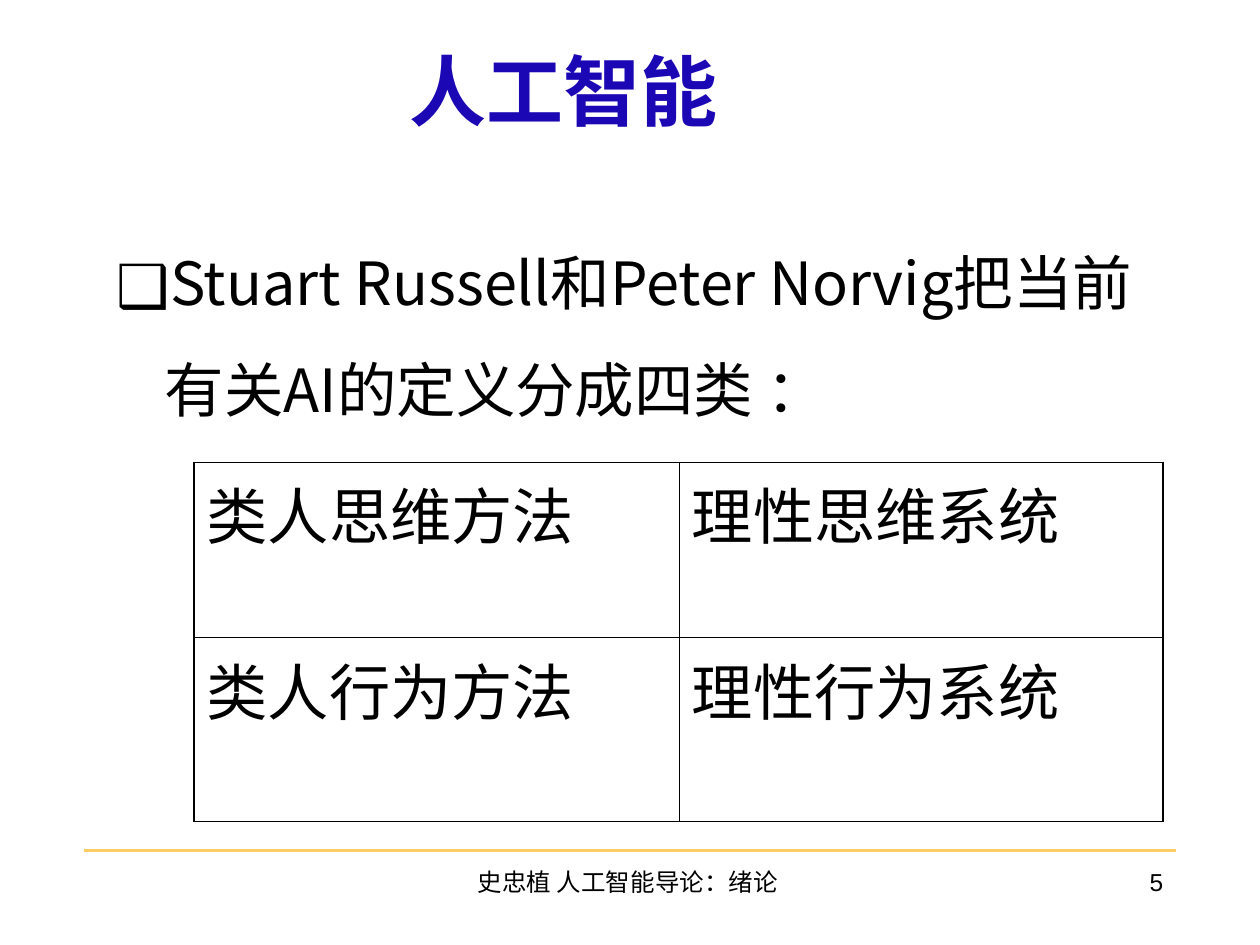
from dataclasses import dataclass

from lxml import etree
from pptx import Presentation
from pptx import util as u
from pptx.dml import color
from pptx.enum import shapes, text
from pptx.oxml import ns

HUES = {"ink": "000000", "title": "1C07B5", "rule": "FFCC66"}
HAN = "Noto Sans CJK SC"
THICK, THIN = 1.08, 0.45
GRID = (("类人思维方法", "理性思维系统"), ("类人行为方法", "理性行为系统"))
WIDTHS = (3.85, 3.84)
HEIGHTS = (1.39, 1.46)


@dataclass
class Label:
    words: str
    left: float
    top: float
    width: float
    height: float
    size: float
    font: str = HAN
    hue: str = "ink"
    bold: bool = False
    align: text.PP_ALIGN = text.PP_ALIGN.LEFT
    anchor: text.MSO_ANCHOR = text.MSO_ANCHOR.TOP


LABELS = (
    Label("史忠植 人工智能导论：绪论 ", 3.42, 6.83, 3.17, 0.5, 14, "Arial",
          align=text.PP_ALIGN.CENTER),
    Label("5", 7.25, 6.83, 2.08, 0.5, 14, "Arial", align=text.PP_ALIGN.RIGHT),
    Label("人工智能", 0.35, 0, 8.25, 1.42, 44, hue="title", bold=True,
          align=text.PP_ALIGN.CENTER, anchor=text.MSO_ANCHOR.MIDDLE),
)
CLAIM = Label("Stuart Russell和Peter Norvig把当前有关AI的定义分成四类 ：",
              0.83, 1.62, 8.5, 4.5, 34)


def rgb(hue: str) -> color.RGBColor:
    return color.RGBColor.from_string(HUES[hue])


def add(node, tag: str, **attrs: str):
    return etree.SubElement(node, ns.qn(tag), attrs)


def style(para, size: float, font: str = HAN, hue: str = "ink",
          bold: bool = False) -> None:
    for run in para.runs:
        run.font.size = u.Pt(size)
        run.font.bold = bold
        run.font.color.rgb = rgb(hue)
        run.font.name = font
        add(run.font._element, "a:ea", typeface=HAN)


def write(slide, item: Label):
    box = slide.shapes.add_textbox(u.Inches(item.left), u.Inches(item.top),
                                   u.Inches(item.width), u.Inches(item.height))
    frame = box.text_frame
    frame.text = item.words
    frame.word_wrap = True
    frame.vertical_anchor = item.anchor
    para = frame.paragraphs[0]
    para.alignment = item.align
    style(para, item.size, item.font, item.hue, item.bold)
    return para


def bullet(para, mark: str, indent: float) -> None:
    para.line_spacing = 1.5
    para.space_before = u.Pt(8.5)
    props = para._p.get_or_add_pPr()
    props.set("marL", str(u.Inches(indent)))
    props.set("indent", str(u.Inches(-indent)))
    add(add(props, "a:buClr"), "a:srgbClr", val=HUES["ink"])
    add(props, "a:buFont", typeface=HAN)
    add(props, "a:buChar", char=mark)


def edge(cell, side: str, width: float) -> None:
    line = add(cell._tc.get_or_add_tcPr(), f"a:ln{side}", w=str(u.Pt(width)))
    add(add(line, "a:solidFill"), "a:srgbClr", val=HUES["ink"])


def rule(slide) -> None:
    line = slide.shapes.add_connector(
        shapes.MSO_CONNECTOR.STRAIGHT, u.Inches(0.67), u.Inches(6.75),
        u.Inches(9.33), u.Inches(6.75))
    line.line.color.rgb = rgb("rule")
    line.line.width = u.Pt(1.5)
    add(line._element.spPr, "a:effectLst")


def matrix(slide) -> None:
    table = slide.shapes.add_table(
        len(HEIGHTS), len(WIDTHS), u.Inches(1.54), u.Inches(3.67),
        u.Inches(sum(WIDTHS)), u.Inches(sum(HEIGHTS))).table
    table.first_row = False
    table.horz_banding = False
    for col, width in zip(table.columns, WIDTHS):
        col.width = u.Inches(width)
    for r, (row, height) in enumerate(zip(table.rows, HEIGHTS)):
        row.height = u.Inches(height)
        for c, cell in enumerate(row.cells):
            cell.text_frame.text = GRID[r][c]
            para = cell.text_frame.paragraphs[0]
            para.alignment = text.PP_ALIGN.JUSTIFY
            para.space_before = u.Pt(8.8)
            style(para, 35)
            outer = {"L": c == 0, "R": c == len(WIDTHS) - 1,
                     "T": r == 0, "B": r == len(HEIGHTS) - 1}
            for side, thick in outer.items():
                edge(cell, side, THICK if thick else THIN)
            cell.fill.background()


def main() -> None:
    deck = Presentation()
    deck.slide_width = u.Inches(10)
    deck.slide_height = u.Inches(7.5)
    slide = deck.slides.add_slide(deck.slide_layouts[6])
    rule(slide)
    for item in LABELS:
        write(slide, item)
    bullet(write(slide, CLAIM), "❑", 0.38)
    matrix(slide)
    deck.save("out.pptx")


if __name__ == "__main__":
    main()
